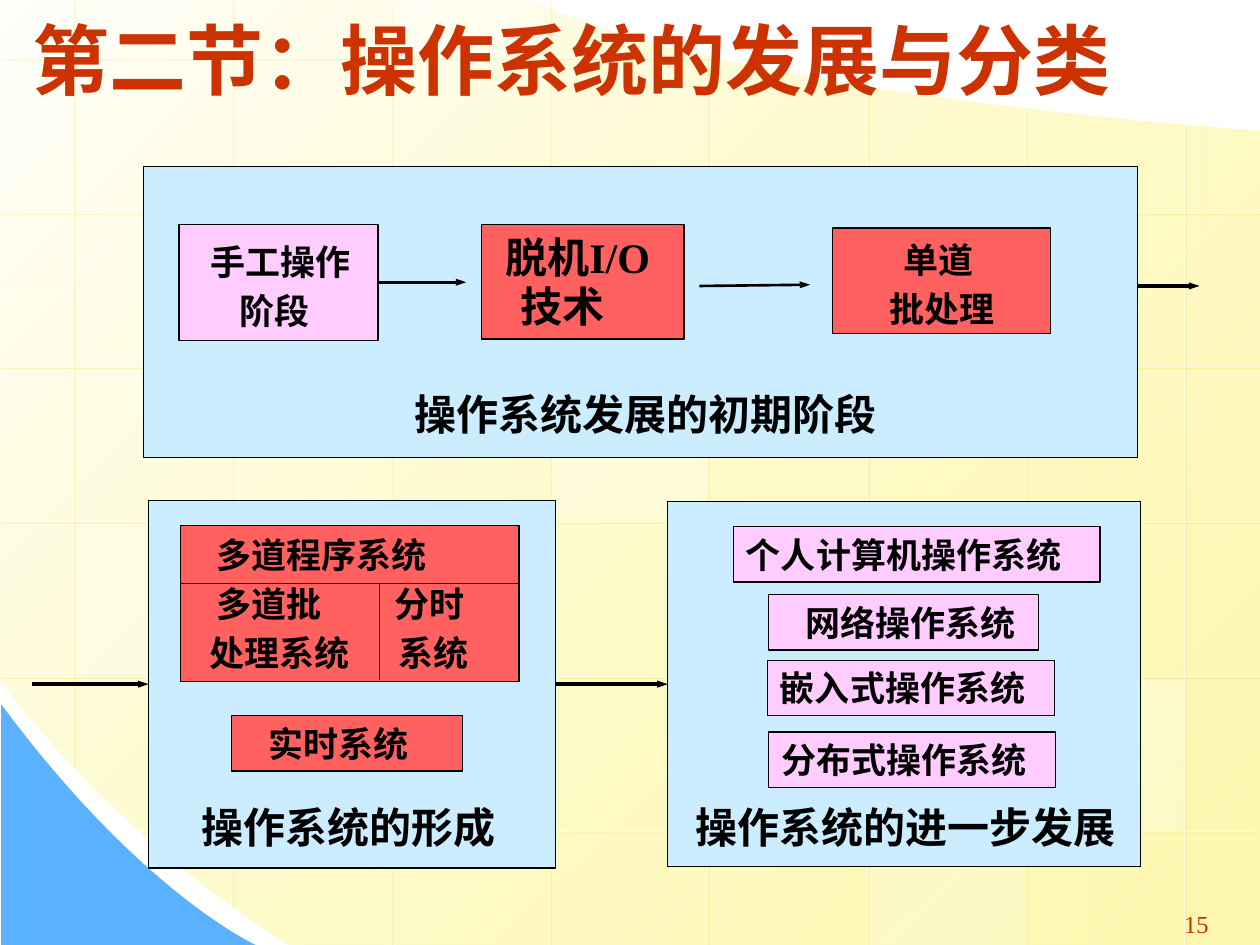
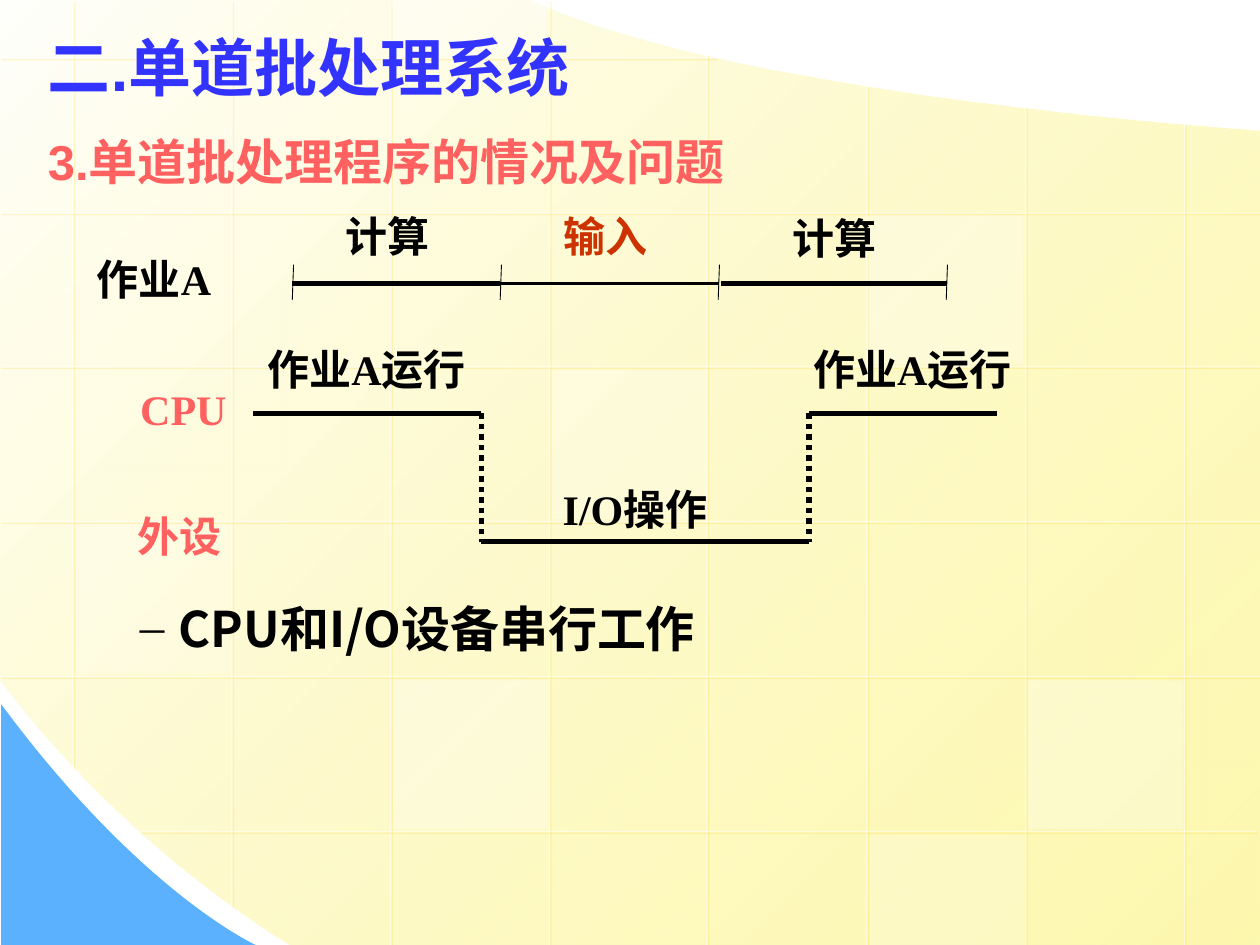
from dataclasses import dataclass
from typing import Any, NamedTuple, Optional

import pptx
import pptx.dml.color
import pptx.enum.dml
import pptx.enum.shapes
import pptx.enum.text
import pptx.oxml.ns
import pptx.util
from lxml import etree

PX = 9144  # EMU in one px: 100 px to the inch
WIDE, HIGH = 1000, 750

BLACK, WHITE = "000000", "FFFFFF"
RUST, CORAL, BLUE = "CC3300", "FF6161", "3333FF"
PINK, ICE, SKY, GOLD = "FFCCFF", "CCECFF", "5CB1FE", "FFCC00"
SERIF, SANS, HAN = "Times New Roman", "Arial", "Noto Sans CJK SC"

ALIGN = pptx.enum.text.PP_ALIGN
qn = pptx.oxml.ns.qn


class Box(NamedTuple):
    x: int
    y: int
    w: int
    h: int


@dataclass
class Card:
    """A bordered box whose lines each have their own indent."""
    box: Box
    fill: str
    lines: tuple[str, ...]
    dents: tuple[int, ...]
    size: int = 20


@dataclass
class Label:
    box: Box
    text: str
    color: str = BLACK
    align: Any = ALIGN.LEFT


class Stroke(NamedTuple):
    start: tuple[int, int]
    end: tuple[int, int]
    width: float
    dots: bool = False


# ---- Helpers ----
def paint(code: str) -> pptx.dml.color.RGBColor:
    return pptx.dml.color.RGBColor.from_string(code)


def emu(*sizes: float) -> list[int]:
    return [round(size * PX) for size in sizes]


def add(parent: Any, tag: str, **attrs: str) -> Any:
    return etree.SubElement(parent, qn(tag), attrs)


def fade(color: Any, share: int) -> None:
    add(color, "a:alpha", val=str(share * 1000))


def write(frame: Any, *lines: str, size: int = 24, color: str = BLACK,
          font: str = SERIF, bold: bool = True, align: Any = ALIGN.LEFT,
          dents: tuple[int, ...] = (), pitch: Optional[int] = None,
          bullet: str = "", hang: int = 0) -> None:
    frame.word_wrap = True
    frame.vertical_anchor = pptx.enum.text.MSO_ANCHOR.MIDDLE
    frame.margin_left = frame.margin_right = 0
    frame.margin_top = frame.margin_bottom = 0
    for i, line in enumerate(lines):
        para = frame.paragraphs[0] if i == 0 else frame.add_paragraph()
        props = para._p.get_or_add_pPr()
        dent = dents[i] if dents else 0
        props.set("marL", str(emu(dent)[0]))
        props.set("indent", str(emu(-hang)[0]))
        if bullet:
            add(props, "a:buFont", typeface=SERIF)
            add(props, "a:buChar", char=bullet)
        para.alignment = align
        if pitch:
            para.line_spacing = pptx.util.Pt(pitch)
        run = para.add_run()
        run.text = line
        run.font.size = pptx.util.Pt(size)
        run.font.bold = bold
        run.font.name = font
        run.font.color.rgb = paint(color)
        add(run._r.get_or_add_rPr(), "a:ea", typeface=HAN)


def label(slide: Any, box: Box, *lines: str, **style: Any) -> None:
    write(slide.shapes.add_textbox(*emu(*box)).text_frame, *lines, **style)


def block(slide: Any, box: Box, fill: str, edge: str = "", alpha: int = 100) -> Any:
    shape = slide.shapes.add_shape(
        pptx.enum.shapes.MSO_SHAPE.RECTANGLE, *emu(*box))
    shape.shadow.inherit = False
    shape.fill.solid()
    shape.fill.fore_color.rgb = paint(fill)
    if alpha < 100:
        fade(next(shape.element.iter(qn("a:srgbClr"))), alpha)
    if edge:
        shape.line.color.rgb = paint(edge)
        shape.line.width = pptx.util.Pt(0.75)
    else:
        shape.line.fill.background()
    return shape


def rule(slide: Any, stroke: Stroke, color: str = BLACK, arrow: bool = False,
         glow: bool = False) -> Any:
    item = slide.shapes.add_connector(
        pptx.enum.shapes.MSO_CONNECTOR.STRAIGHT, *emu(*stroke.start, *stroke.end))
    item.line.color.rgb = paint(color)
    item.line.width = pptx.util.Pt(stroke.width)
    if stroke.dots:
        item.line.dash_style = pptx.enum.dml.MSO_LINE.ROUND_DOT
    if arrow:
        add(item.line._ln, "a:tailEnd", type="triangle", w="sm", len="med")
    effects = add(item.element.spPr, "a:effectLst")
    if glow:
        fade(next(item.element.iter(qn("a:srgbClr"))), 50)
        shade = add(effects, "a:outerShdw", dist="17780", dir="2700000")
        fade(add(shade, "a:srgbClr", val=GOLD), 34)
    return item


def curve(a: tuple, b: tuple, c: tuple, d: tuple, steps: int = 30) -> list[tuple]:
    """Points of a cubic curve after its start."""
    spots = []
    for i in range(1, steps + 1):
        t = i / steps
        u = 1 - t
        parts = (u ** 3, 3 * u * u * t, 3 * u * t * t, t ** 3)
        spots.append(tuple(sum(k * p[axis] for k, p in zip(parts, (a, b, c, d)))
                           for axis in (0, 1)))
    return spots


def outline(slide: Any, spots: list[tuple]) -> Any:
    first, *rest = [tuple(emu(*spot)) for spot in spots]
    pen = slide.shapes.build_freeform(*first, scale=1.0)
    pen.add_line_segments(rest, close=True)
    shape = pen.convert_to_shape()
    shape.shadow.inherit = False
    shape.line.fill.background()
    return shape


# ---- Shared backdrop ----
COLUMNS = ((58, 0, 609), (184, 0, 719), (310, 0, HIGH), (436, 0, HIGH),
           (561, 43, HIGH), (688, 68, HIGH), (814, 85, HIGH), (940, 98, HIGH))
ROWS = ((46, 0, 568), (169, 0, WIDE), (291, 0, WIDE), (414, 0, WIDE),
        (537, 0, WIDE), (660, 111, 997))
TILES = ((Box(438, 294, 123, 118), 25), (Box(816, 540, 123, 118), 30),
         (Box(60, 416, 123, 118), 20), (Box(690, 663, 123, 87), 20),
         (Box(311, 0, 123, 44), 40))
EXTRA = ((Box(312, 540, 123, 118), 30), (Box(689, 171, 123, 118), 30))


def backdrop(slide: Any, tiles: tuple) -> None:
    field = outline(slide, [
        (WIDE, 104), (WIDE, HIGH), (230, HIGH),
        *curve((230, HIGH), (86, 661), (0, 539), (0, 539)), (0, 0), (421, 0),
        *curve((421, 0), (421, 0), (537, 69), (WIDE, 104))])
    field.fill.gradient()
    field.fill.gradient_angle = 315
    for stop, code, place in zip(field.fill.gradient_stops, ("FFFFFB", "FDF58D"), (0, 1)):
        stop.color.rgb = paint(code)
        stop.position = place
    fade(list(field.element.iter(qn("a:srgbClr")))[1], 70)

    corner = outline(slide, [
        (1, 559), (1, HIGH), (203, HIGH),
        *curve((203, HIGH), (203, HIGH), (112, 709), (1, 559))])
    corner.fill.solid()
    corner.fill.fore_color.rgb = paint(SKY)

    for x, top, end in COLUMNS:
        rule(slide, Stroke((x, top), (x, end), 0.75), WHITE, glow=True)
    for y, left, end in ROWS:
        rule(slide, Stroke((end, y), (left, y), 0.75), WHITE, glow=True)
    for box, alpha in tiles:
        block(slide, box, WHITE, alpha=alpha)


# ---- Slide 1: stages of growth ----
MANUAL = Card(Box(142, 178, 158, 92), PINK, ("手工操作", "阶段"), (25, 48))
CARDS = (
    Card(Box(382, 178, 161, 91), CORAL, ("脱机I/O", "技术"), (19, 31), 24),
    Card(Box(661, 181, 173, 84), CORAL, ("单道", "批处理"), (56, 45)),
    Card(Box(582, 418, 291, 44), PINK, ("个人计算机操作系统",), (10,)),
    Card(Box(610, 472, 214, 44), PINK, ("网络操作系统",), (29,)),
    Card(Box(609, 524, 228, 44), PINK, ("嵌入式操作系统",), (10,)),
    Card(Box(610, 581, 228, 44), PINK, ("分布式操作系统",), (10,)),
    Card(Box(184, 568, 183, 44), CORAL, ("实时系统",), (29,)),
)
CELLS = (
    (Box(143, 417, 269, 46), ("多道程序系统",), (29,)),
    (Box(143, 457, 158, 77), ("多道批", "处理系统"), (29, 23)),
    (Box(301, 457, 111, 77), ("分时", "系统"), (12, 15)),
)
CAPTIONS = (
    Label(Box(329, 303, 420, 50), "操作系统发展的初期阶段"),
    Label(Box(160, 631, 270, 50), "操作系统的形成"),
    Label(Box(552, 631, 350, 50), "操作系统的进一步发展"),
)


def pitch(lines: tuple[str, ...]) -> Optional[int]:
    return 28 if len(lines) > 1 else None


def place(slide: Any, card: Card) -> Any:
    shape = block(slide, card.box, card.fill, BLACK)
    write(shape.text_frame, *card.lines, size=card.size, dents=card.dents,
          pitch=pitch(card.lines))
    return shape


def stages(slide: Any) -> None:
    backdrop(slide, TILES)
    label(slide, Box(929, 714, 41, 38), "15", size=14, color=RUST, bold=False,
          align=ALIGN.CENTER)
    label(slide, Box(26, 8, 940, 77), "第二节：操作系统的发展与分类",
          size=44, color=RUST, font=SANS)

    later = block(slide, Box(530, 398, 375, 290), ICE, BLACK)
    form = block(slide, Box(118, 397, 323, 292), ICE, BLACK)
    block(slide, Box(114, 132, 789, 231), ICE, BLACK)
    manual = place(slide, MANUAL)
    for card in CARDS:
        place(slide, card)

    # Split box of multi-programming systems
    block(slide, Box(143, 417, 269, 124), CORAL, BLACK)
    rule(slide, Stroke((143, 463), (412, 463), 0.75))
    rule(slide, Stroke((301, 463), (301, 540), 0.75))
    for box, lines, dents in CELLS:
        label(slide, box, *lines, size=20, dents=dents, pitch=pitch(lines))
    for item in CAPTIONS:
        label(slide, item.box, item.text, font=SANS)

    # Arrows
    rule(slide, Stroke((300, 224), (370, 224), 1.5), arrow=True).begin_connect(manual, 3)
    rule(slide, Stroke((555, 227), (643, 226), 1.5), arrow=True)
    rule(slide, Stroke((903, 227), (952, 227), 2), arrow=True)
    rule(slide, Stroke((25, 543), (118, 543), 2), arrow=True).end_connect(form, 1)
    bridge = rule(slide, Stroke((441, 543), (530, 543), 2), arrow=True)
    bridge.begin_connect(form, 3)
    bridge.end_connect(later, 1)


# ---- Slide 2: timing of a single job ----
STROKES = (
    Stroke((232, 225), (397, 225), 3), Stroke((397, 225), (571, 225), 1.25),
    Stroke((572, 225), (752, 225), 3),
    Stroke((201, 328), (382, 328), 3), Stroke((382, 328), (382, 430), 3, True),
    Stroke((382, 430), (642, 430), 3), Stroke((642, 328), (642, 430), 3, True),
    Stroke((642, 328), (791, 328), 3),
)
TICKS = (232, 397, 570, 751)
MID = ALIGN.CENTER
LABELS = (
    Label(Box(77, 194, 130, 54), "作业A"),
    Label(Box(274, 160, 100, 54), "计算"),
    Label(Box(447, 160, 100, 54), "输入", RUST),
    Label(Box(629, 162, 100, 54), "计算"),
    Label(Box(106, 297, 79, 55), "CPU", CORAL, MID),
    Label(Box(109, 398, 110, 55), "外设", CORAL),
    Label(Box(191, 265, 200, 55), "作业A运行", BLACK, MID),
    Label(Box(624, 265, 200, 55), "作业A运行", BLACK, MID),
    Label(Box(404, 376, 200, 55), "I/O操作", BLACK, MID),
)


def timing(slide: Any) -> None:
    backdrop(slide, TILES + EXTRA)
    label(slide, Box(38, 13, 880, 80), "二.单道批处理系统",
          size=36, color=BLUE, font=SANS)
    label(slide, Box(38, 103, 880, 50), "3.单道批处理程序的情况及问题",
          size=28, color=CORAL, font=SANS)
    for stroke in STROKES:
        rule(slide, stroke)
    for x in TICKS:
        rule(slide, Stroke((x + 1, 210), (x, 238), 0.5))
    for item in LABELS:
        label(slide, item.box, item.text, color=item.color, align=item.align)
    label(slide, Box(61, 463, 681, 70), "CPU和I/O设备串行工作",
          size=28, font=HAN, bullet="–", dents=(81,), hang=31)


def main() -> None:
    deck = pptx.Presentation()
    deck.slide_width, deck.slide_height = emu(WIDE, HIGH)
    for draw in (stages, timing):
        draw(deck.slides.add_slide(deck.slide_layouts[6]))
    deck.save("out.pptx")


if __name__ == "__main__":
    main()
